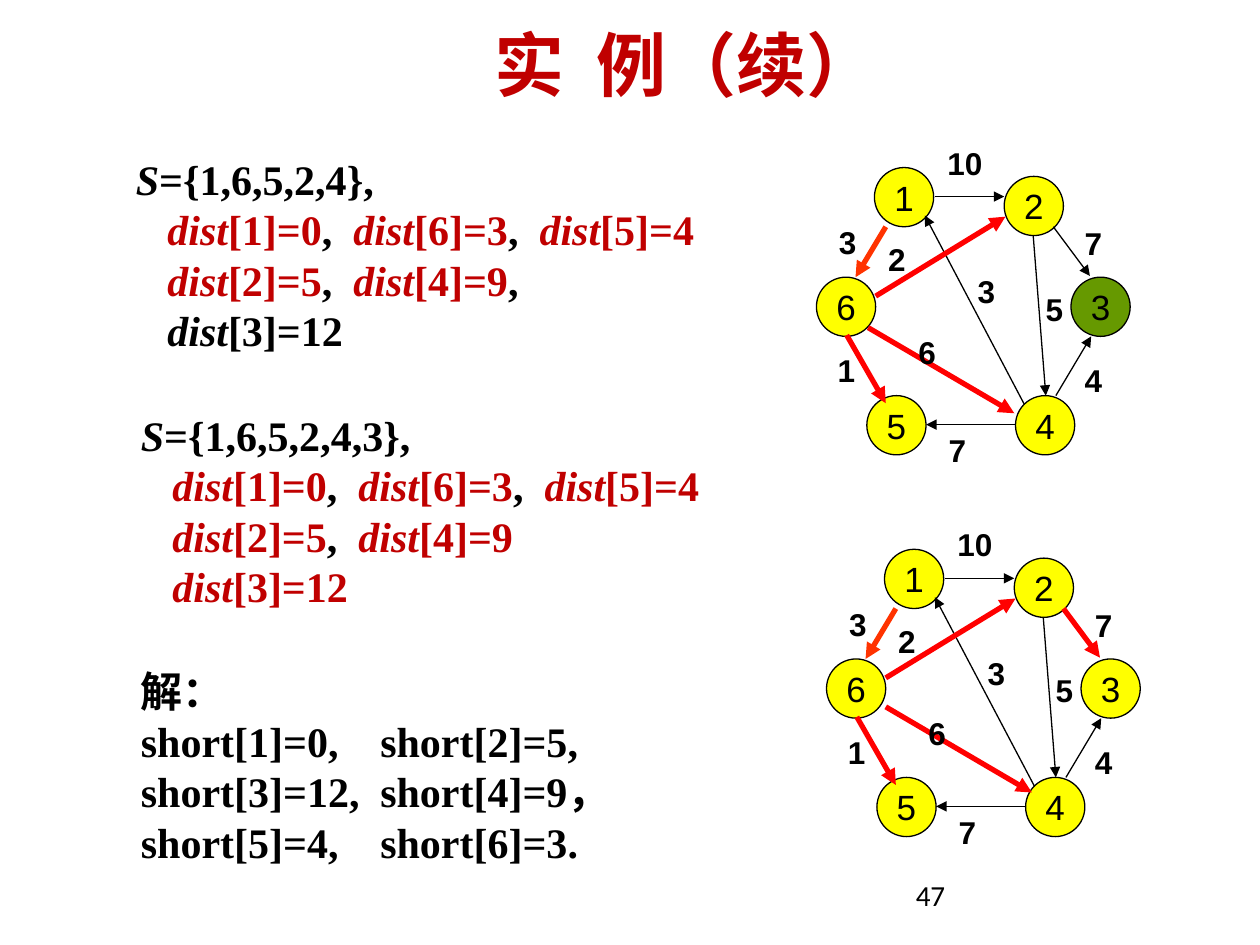
from pptx import Presentation
from pptx import util as u
from pptx.dml.color import RGBColor
from pptx.enum import shapes, text
from pptx.oxml.ns import qn
from lxml import etree

theme = {
    "black": RGBColor(0, 0, 0), "red": RGBColor(0xC0, 0, 0),
    "path": RGBColor(0xFF, 0, 0), "first": RGBColor(0xFF, 0x33, 0),
    "node": RGBColor(0xFF, 0xFF, 0), "goal": RGBColor(0x66, 0x99, 0),
    "title": 40, "body": 24, "vertex": 20, "label": 18, "page": 16.6,
    "pitch": 28.8, "thin": 0.75, "thick": 3,
}

deck = Presentation()
deck.slide_width, deck.slide_height = u.Inches(10), u.Inches(7.5)
col, row = deck.slide_width / 10, deck.slide_height / 7.5
slide = deck.slides.add_slide(deck.slide_layouts[5])


def cells(x, y, *size):
    """Turn columns and rows of the grid into slide lengths."""
    return [round(n * (row if i % 2 else col)) for i, n in enumerate((x, y) + size)]


def write(para, words, face, size, color="black", bold=False, italic=False):
    """Add one formatted run."""
    run = para.add_run()
    run.text = words
    run.font.name, run.font.size = face, u.Pt(theme[size])
    run.font.color.rgb = theme[color]
    run.font.bold, run.font.italic = bold, italic


# Title, centred to the right of a wide left inset
title = slide.shapes.title
title.left, title.top, title.width, title.height = cells(0.5, 0.16, 9, 0.69)
frame = title.text_frame
frame.margin_left = round(0.98 * col)
frame.vertical_anchor = text.MSO_ANCHOR.MIDDLE
frame.paragraphs[0].alignment = text.PP_ALIGN.CENTER
write(frame.paragraphs[0], "实  例（续）", "Calibri", "title", "red", True)

# Page number
page = slide.shapes.add_textbox(*cells(7.17, 6.95, 2.33, 0.4)).text_frame
page.word_wrap = True
page.paragraphs[0].line_spacing = 0.9
write(page.paragraphs[0], "47", "Calibri", "page")

# Steps: the set S, then rows of (vertex, distance, separator, colour)
serif = "Times New Roman"
steps = [
    ((0.98, 1.17, 4.88, 1.7), "={1,6,5,2,4},", [
        [(1, 0, ",  ", "red"), (6, 3, ",  ", "red"), (5, 4, "", "red")],
        [(2, 5, ",  ", "red"), (4, 9, ",", "red")],
        [(3, 12, "", "black")]]),
    ((1.02, 3.2, 5, 1.7), "={1,6,5,2,4,3},", [
        [(1, 0, ",  ", "red"), (6, 3, ",  ", "red"), (5, 4, "", "red")],
        [(2, 5, ",  ", "red"), (4, 9, "", "red")],
        [(3, 12, "", "red")]]),
]
for box, chosen, rows in steps:
    frame = slide.shapes.add_textbox(*cells(*box)).text_frame
    frame.word_wrap = True
    para = frame.paragraphs[0]
    para.line_spacing = u.Pt(theme["pitch"])
    write(para, "S", serif, "body", bold=True, italic=True)
    write(para, chosen, serif, "body", bold=True)
    for items in rows:
        para = frame.add_paragraph()
        para.line_spacing = u.Pt(theme["pitch"])
        para._p.get_or_add_pPr().set("marL", str(round(0.25 * col)))
        for vertex, dist, gap, tint in items:
            write(para, "dist", serif, "body", tint, True, True)
            write(para, f"[{vertex}]={dist}", serif, "body", tint, True)
            if gap:
                write(para, gap, serif, "body", bold=True)

# Solution, in two tabbed columns
frame = slide.shapes.add_textbox(*cells(1.02, 5.23, 5, 1.7)).text_frame
frame.word_wrap = True
answer = ["解：", "short[1]=0,\tshort[2]=5,", "short[3]=12,\tshort[4]=9，",
          "short[5]=4,\tshort[6]=3."]
for i, words in enumerate(answer):
    para = frame.add_paragraph() if i else frame.paragraphs[0]
    para.line_spacing = u.Pt(theme["pitch"])
    tabs = etree.SubElement(para._p.get_or_add_pPr(), qn("a:tabLst"))
    etree.SubElement(tabs, qn("a:tab"), pos=str(round(1.9 * col)), algn="l")
    write(para, words, serif, "body", bold=True)

# Graph parts, placed for the upper graph
nodes = {1: (6.94, 1.33), 2: (7.97, 1.4), 3: (8.5, 2.2),
         4: (8.06, 3.14), 5: (6.88, 3.14), 6: (6.48, 2.2)}
edges = [
    (7.03, 1.8, 6.79, 2.2, "first"),
    (7.42, 1.56, 7.97, 1.56, "black"),
    (8.06, 3.37, 7.35, 3.37, "black"),
    (8.38, 3.14, 8.66, 2.67, "black"),
    (8.13, 3.21, 7.34, 1.71, "black"),
    (8.2, 1.87, 8.3, 3.14, "black"),
    (6.72, 2.66, 7.03, 3.2, "path"),
    (6.95, 2.35, 7.98, 1.72, "path"),
]
costs = [(10, 7.42, 1.09), (3, 6.56, 1.72), (2, 6.95, 1.86), (7, 8.51, 1.73),
         (3, 7.66, 2.11), (5, 8.2, 2.25), (6, 7.19, 2.59), (1, 6.55, 2.74),
         (4, 8.51, 2.82), (7, 7.43, 3.37)]

# Each graph: shift, fill of vertex 3, and the edges that differ
graphs = [
    (0, 0, "goal", [(8.36, 1.8, 8.65, 2.19, "black"), (6.89, 2.6, 8.05, 3.28, "path")]),
    (0.08, 3.03, "node", [(8.36, 1.8, 8.65, 2.19, "path"), (6.95, 2.58, 8.11, 3.26, "path")]),
]
for dx, dy, goal, extra in graphs:
    group = slide.shapes.add_group_shape().shapes

    # Vertices
    for name, (x, y) in nodes.items():
        disc = group.add_shape(shapes.MSO_SHAPE.OVAL, *cells(x + dx, y + dy, 0.47, 0.47))
        disc.shadow.inherit = False
        disc.fill.solid()
        disc.fill.fore_color.rgb = theme[goal if name == 3 else "node"]
        disc.line.color.rgb = theme["black"]
        disc.line.width = u.Pt(theme["thin"])
        frame = disc.text_frame
        frame.word_wrap = False
        frame.vertical_anchor = text.MSO_ANCHOR.MIDDLE
        frame.paragraphs[0].alignment = text.PP_ALIGN.CENTER
        write(frame.paragraphs[0], str(name), "Arial", "vertex")

    # Directed edges
    for x1, y1, x2, y2, tint in edges + extra:
        edge = group.add_connector(shapes.MSO_CONNECTOR.STRAIGHT,
                                   *cells(x1 + dx, y1 + dy, x2 + dx, y2 + dy))
        edge.line.color.rgb = theme[tint]
        edge.line.width = u.Pt(theme["thin" if tint == "black" else "thick"])
        etree.SubElement(edge.line._get_or_add_ln(), qn("a:tailEnd"), type="triangle")
        etree.SubElement(edge._element.spPr, qn("a:effectLst"))

    # Edge costs
    for cost, x, y in costs:
        frame = group.add_textbox(*cells(x + dx, y + dy, 0.55, 0.4)).text_frame
        frame.word_wrap = True
        write(frame.paragraphs[0], str(cost), "Arial", "label", bold=True)

deck.save("out.pptx")
